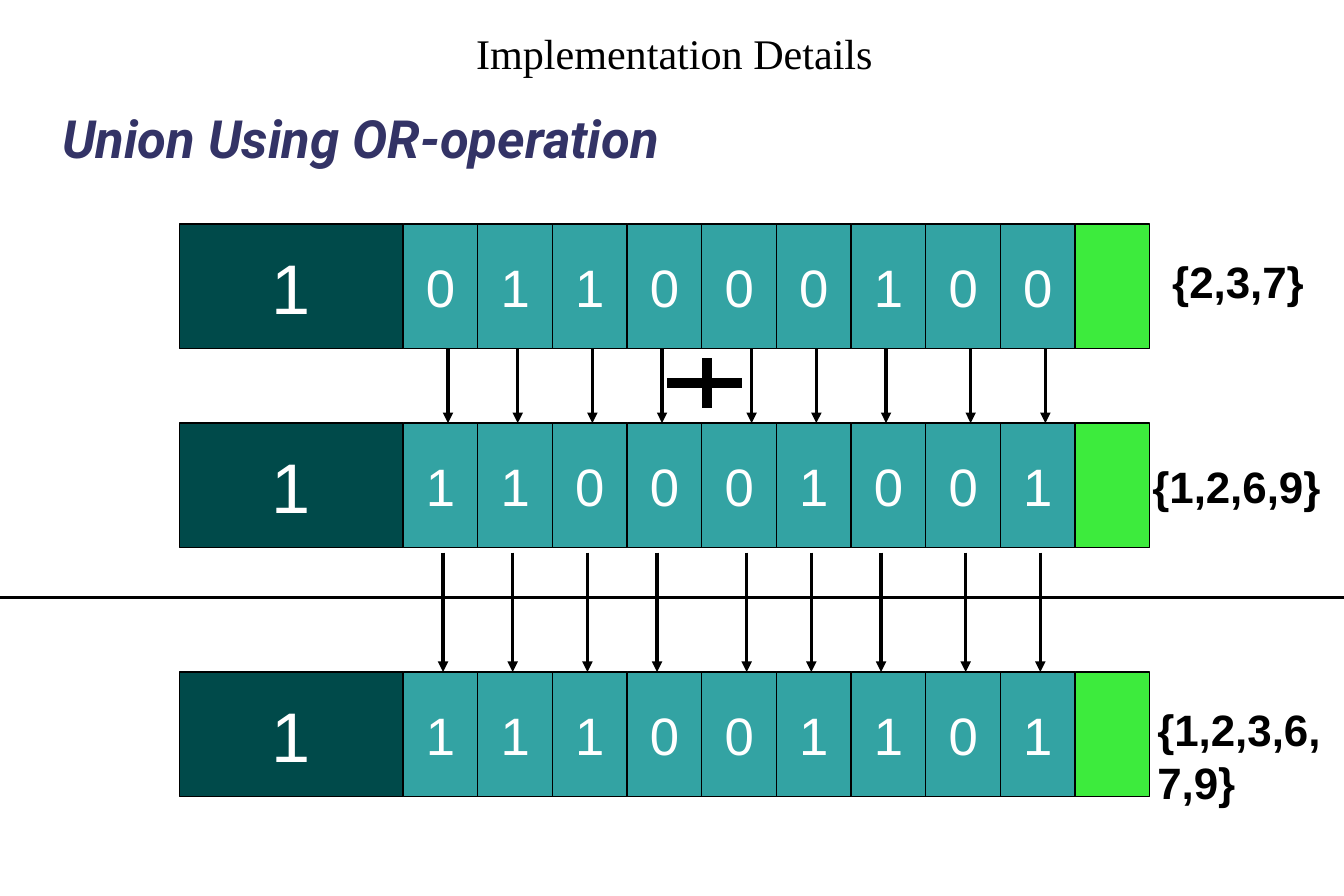
from lxml.etree import SubElement
from pptx import Presentation
from pptx.dml.color import RGBColor
from pptx.enum.shapes import MSO_CONNECTOR as Connector, MSO_SHAPE as Shape
from pptx.enum.text import MSO_ANCHOR as Anchor, MSO_AUTO_SIZE as AutoSize, PP_ALIGN as Align
from pptx.oxml.ns import qn
from pptx.util import Cm, Pt

BLACK = RGBColor(0x00, 0x00, 0x00)
WHITE = RGBColor(0xFF, 0xFF, 0xFF)
NAVY = RGBColor(0x33, 0x33, 0x66)
DARK_TEAL = RGBColor(0x00, 0x4A, 0x4A)
TEAL = RGBColor(0x33, 0xA3, 0xA3)
GREEN = RGBColor(0x3D, 0xEB, 0x3D)

CELL_WIDTH, ROW_HEIGHT = 1.5, 2.5
HEAD_LEFT, HEAD_WIDTH = 3.6, 4.5


def write(box, text, size, font="Arial", color=BLACK, bold=False, italic=False,
          align=Align.LEFT, anchor=Anchor.TOP, wrap=True):
    frame = box.text_frame
    frame.word_wrap = wrap
    frame.vertical_anchor = anchor
    for number, line in enumerate(text.split("\n")):
        para = frame.add_paragraph() if number else frame.paragraphs[0]
        para.alignment = align
        span = para.add_run()
        span.text = line
        span.font.name = font
        span.font.size = Pt(size)
        span.font.bold = bold
        span.font.italic = italic
        span.font.color.rgb = color


def add_line(shapes, x1, y1, x2, y2, width=0, arrow=False):
    line = shapes.add_connector(Connector.STRAIGHT, Cm(x1), Cm(y1), Cm(x2), Cm(y2))
    line.line.color.rgb = BLACK
    line.line.width = Pt(width)
    if arrow:
        SubElement(line.line._get_or_add_ln(), qn("a:tailEnd"), type="triangle")
    SubElement(line._element.spPr, qn("a:effectLst"))


deck = Presentation()
deck.slide_width, deck.slide_height = Cm(27), Cm(18)
page = deck.slides.add_slide(deck.slide_layouts[6])

# Headings
subtitle = page.shapes.add_textbox(Cm(1), Cm(2), Cm(22), Cm(1.78))
write(subtitle, "Union Using OR-operation", 30, font="Roboto", color=NAVY, bold=True, italic=True)
title = page.shapes.add_textbox(Cm(8.8), Cm(0.3), Cm(9.5), Cm(1.5))
write(title, "Implementation Details", 24, font="Times New Roman",
      align=Align.CENTER, anchor=Anchor.MIDDLE, wrap=False)

# Bit vectors: a head, nine bits and an end cell
for top, bits in ((4.5, "011000100"), (8.5, "110001001"), (13.5, "111001101")):
    vector = page.shapes.add_group_shape()
    cells = [("1", HEAD_WIDTH, DARK_TEAL, 40)]
    cells += [(bit, CELL_WIDTH, TEAL, 30) for bit in bits]
    cells += [("", CELL_WIDTH, GREEN, 30)]
    left = HEAD_LEFT
    for text, width, color, size in cells:
        cell = vector.shapes.add_shape(Shape.RECTANGLE, Cm(left), Cm(top), Cm(width), Cm(ROW_HEIGHT))
        cell.shadow.inherit = False
        cell.fill.solid()
        cell.fill.fore_color.rgb = color
        cell.line.color.rgb = BLACK
        cell.line.width = Pt(0)
        if text:
            write(cell, text, size, color=WHITE, align=Align.CENTER, anchor=Anchor.MIDDLE)
        left += width

# Result line and plus sign
add_line(page.shapes, 0, 12, 27, 12)
plus = page.shapes.add_group_shape()
add_line(plus.shapes, 14.2, 7.2, 14.2, 8.2, width=5.67)
add_line(plus.shapes, 13.4, 7.7, 14.9, 7.7, width=5.67)

# Arrows between the vectors
for shift, top, bottom in ((0, 7, 8.5), (-0.1, 11.1, 13.5)):
    arrows = page.shapes.add_group_shape()
    for x in (9, 10.4, 11.9, 13.3, 15.1, 16.4, 17.8, 19.5, 21):
        add_line(arrows.shapes, x + shift, top, x + shift, bottom, arrow=True)

# Set labels
for text, left, top, width, height in (
    ("{2,3,7}", 23.3, 5, 3.5, 1.25),
    ("{1,2,6,9}", 22.9, 9.1, 4.1, 1.25),
    ("{1,2,3,6,\n7,9}", 23, 14, 4, 2.2),
):
    label = page.shapes.add_textbox(Cm(left), Cm(top), Cm(width), Cm(height))
    write(label, text, 25, bold=True)
    label.text_frame.auto_size = AutoSize.SHAPE_TO_FIT_TEXT

deck.save("out.pptx")
